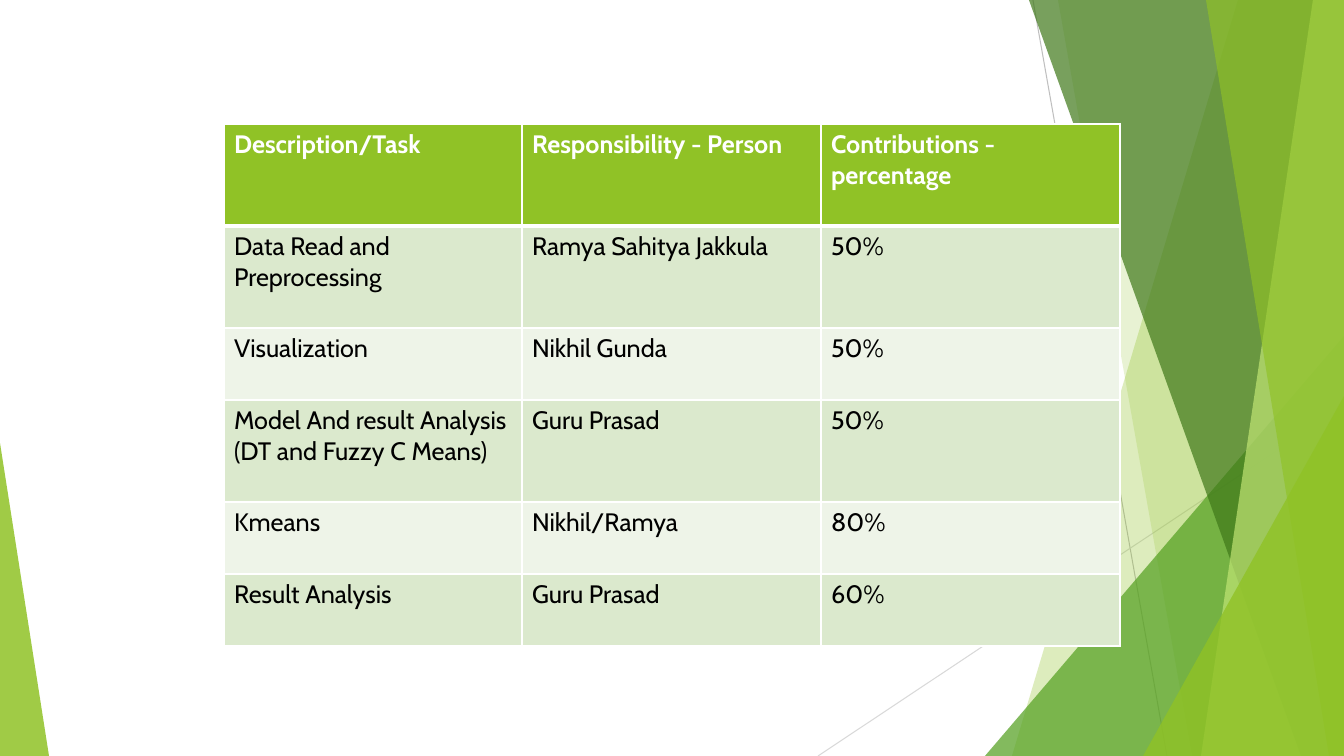
"""Build a slide with a task responsibility table on a green faceted background."""
from lxml.etree import SubElement
from pptx import Presentation
from pptx.dml.color import RGBColor
from pptx.enum.shapes import MSO_CONNECTOR, MSO_SHAPE
from pptx.oxml import parse_xml
from pptx.oxml.ns import nsdecls, qn
from pptx.util import Pt

ROWS = [
    ("Description/Task", "Responsibility - Person", "Contributions - percentage"),
    ("Data Read and Preprocessing", "Ramya Sahitya Jakkula", "50%"),
    ("Visualization", "Nikhil Gunda", "50%"),
    ("Model And result Analysis (DT and Fuzzy C Means)", "Guru Prasad", "50%"),
    ("Kmeans", "Nikhil/Ramya", "80%"),
    ("Result Analysis", "Guru Prasad", "60%"),
]
TABLE_LEFT, TABLE_TOP = 224, 124
COLUMN_WIDTHS = [298, 299, 299]
ROW_HEIGHTS = [102, 102, 72, 102, 72, 72]
HEADER_FILL, BAND_FILLS = "90C226", ["EEF4E8", "DBE9CD"]
FONT_NAME, FONT_SIZE = "Cabin", 18

WIDTH, HEIGHT = 1344, 756
EMU_PER_PX = 914400 / 100.8
RAYS = [((1033, 0), (1167, HEIGHT), "BFBFBF"), ((WIDTH, 406), (818, HEIGHT), "D9D9D9")]
# FACETS
FACETS = [
    ("band", 1238, 1012, "90C226", 30),
    ("band", 1058, 1192, "90C226", 20),
    ("triangle", (985, 336, 359), 1, "54A021", 72),
    ("band", 1029, 1301, "3F7819", 70),
    ("band", 1313, 1201, "C0E474", 70),
    ("band", 1206, 1329, "90C226", 65),
    ("triangle", (1143, 396, 201), 1, "90C226", 80),
    ("triangle", (0, 443, 49), 0, "90C226", 85),
]


def px(length):
    return round(length * EMU_PER_PX)


def color(hex_string):
    return RGBColor.from_string(hex_string)


def add_ray(slide, start, end, line_color):
    ray = slide.shapes.add_connector(MSO_CONNECTOR.STRAIGHT, *map(px, start + end))
    ray.line.color.rgb = color(line_color)
    ray.line.width = Pt(0.75)
    SubElement(ray._element.spPr, qn("a:effectLst"))


def add_band(slide, top_x, bottom_x):
    builder = slide.shapes.build_freeform(top_x, 0, scale=EMU_PER_PX)
    builder.add_line_segments([(WIDTH, 0), (WIDTH, HEIGHT), (bottom_x, HEIGHT)], close=True)
    return builder.convert_to_shape()


def add_triangle(slide, box, apex):
    left, top, width = box
    shape = slide.shapes.add_shape(
        MSO_SHAPE.ISOSCELES_TRIANGLE, px(left), px(top), px(width), px(HEIGHT - top))
    shape.adjustments[0] = apex
    return shape


def style_facet(shape, fill_color, opacity):
    shape.shadow.inherit = False
    shape.line.fill.background()
    shape.fill.solid()
    shape.fill.fore_color.rgb = color(fill_color)
    color_element = shape._element.spPr.find(qn("a:solidFill"))[0]
    SubElement(color_element, qn("a:alpha"), val=str(opacity * 1000))


def set_borders(cell, widths):
    properties = cell._tc.get_or_add_tcPr()
    for index, (side, width) in enumerate(widths.items()):
        properties.insert(index, parse_xml(
            f'<a:ln{side} {nsdecls("a")} w="{Pt(width)}"><a:solidFill>'
            f'<a:srgbClr val="FFFFFF"/></a:solidFill></a:ln{side}>'))


def add_task_table(slide):
    table = slide.shapes.add_table(
        len(ROWS), len(COLUMN_WIDTHS), px(TABLE_LEFT), px(TABLE_TOP),
        px(sum(COLUMN_WIDTHS)), px(sum(ROW_HEIGHTS))).table
    for column, width in zip(table.columns, COLUMN_WIDTHS):
        column.width = px(width)
    for row_index, (texts, height) in enumerate(zip(ROWS, ROW_HEIGHTS)):
        table.rows[row_index].height = px(height)
        is_header = row_index == 0
        for column_index, text in enumerate(texts):
            cell = table.cell(row_index, column_index)
            cell.text = text
            cell.fill.solid()
            cell.fill.fore_color.rgb = color(HEADER_FILL if is_header else BAND_FILLS[row_index % 2])
            set_borders(cell, {"L": 1, "R": 1, "T": 3 if row_index == 1 else 1, "B": 3 if is_header else 1})
            font = cell.text_frame.paragraphs[0].font
            font.name, font.size, font.bold = FONT_NAME, Pt(FONT_SIZE), is_header
            font.color.rgb = color("FFFFFF" if is_header else "000000")


def main():
    presentation = Presentation()
    presentation.slide_width, presentation.slide_height = px(WIDTH), px(HEIGHT)
    slide = presentation.slides.add_slide(presentation.slide_layouts[6])
    for ray in RAYS:
        add_ray(slide, *ray)
    builders = {"band": add_band, "triangle": add_triangle}
    for kind, first, second, fill_color, opacity in FACETS:
        style_facet(builders[kind](slide, first, second), fill_color, opacity)
    add_task_table(slide)
    presentation.save("out.pptx")


if __name__ == "__main__":
    main()
